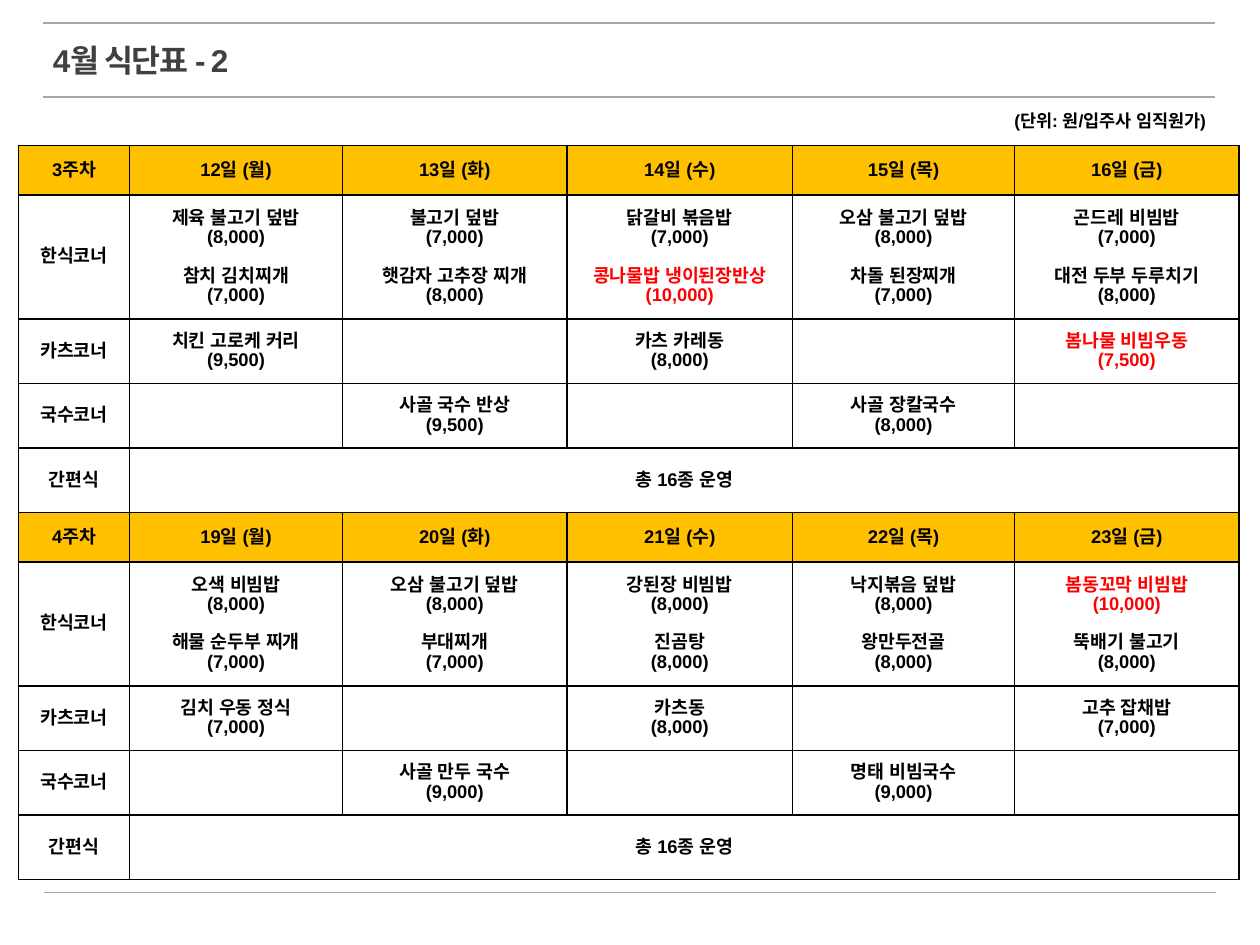
from lxml.etree import SubElement
from pptx import Presentation
from pptx.dml.color import RGBColor
from pptx.enum.shapes import MSO_CONNECTOR
from pptx.enum.text import MSO_ANCHOR as Anchor, MSO_AUTO_SIZE as AutoSize, PP_ALIGN as Align
from pptx.oxml.ns import qn
from pptx.util import Pt

COLORS = {"black": "000000", "title": "404040", "rule": "A6A6A6",
          "header": "FFC000", "white": "FFFFFF", "special": "FF0000"}
COLUMN_WIDTHS = [63.4, 121.8, 128.2, 129, 126.8, 128.4]
WEEK_ROW_HEIGHTS = [28.2, 70.9, 36.9, 36.9, 36.9]
WEEKDAYS = "월화수목금"
RESTAURANTS = ["한식코너", "카츠코너", "국수코너"]
SUMMARY = ("간편식", "총 16종 운영")


def special(name, price):
    """Return a dish that is highlighted in the menu."""
    return name, price, "special"


# Each week: number, first date, then per restaurant the dishes of each weekday.
WEEKS = [
    (3, 12, [
        [[("제육 불고기 덮밥", 8000), ("참치 김치찌개", 7000)],
         [("불고기 덮밥", 7000), ("햇감자 고추장 찌개", 8000)],
         [("닭갈비 볶음밥", 7000), special("콩나물밥 냉이된장반상", 10000)],
         [("오삼 불고기 덮밥", 8000), ("차돌 된장찌개", 7000)],
         [("곤드레 비빔밥", 7000), ("대전 두부 두루치기", 8000)]],
        [[("치킨 고로케 커리", 9500)], [], [("카츠 카레동", 8000)], [],
         [special("봄나물 비빔우동", 7500)]],
        [[], [("사골 국수 반상", 9500)], [], [("사골 장칼국수", 8000)], []],
    ]),
    (4, 19, [
        [[("오색 비빔밥", 8000), ("해물 순두부 찌개", 7000)],
         [("오삼 불고기 덮밥", 8000), ("부대찌개", 7000)],
         [("강된장 비빔밥", 8000), ("진곰탕", 8000)],
         [("낙지볶음 덮밥", 8000), ("왕만두전골", 8000)],
         [special("봄동꼬막 비빔밥", 10000), ("뚝배기 불고기", 8000)]],
        [[("김치 우동 정식", 7000)], [], [("카츠동", 8000)], [], [("고추 잡채밥", 7000)]],
        [[], [("사골 만두 국수", 9000)], [], [("명태 비빔국수", 9000)], []],
    ]),
]


def color(name):
    """Look up a named colour."""
    return RGBColor.from_string(COLORS[name])


def write(paragraph, text, size=10.5, fill="black", align=Align.CENTER,
          line=None, before=None, spacing=None, font="Arial"):
    """Write one formatted run into a paragraph."""
    paragraph.alignment = align
    if line:
        paragraph.line_spacing = Pt(line)
    if before:
        paragraph.space_before = Pt(before)
    run = paragraph.add_run()
    run.text = text
    run.font.name, run.font.size, run.font.bold = font, Pt(size), True
    run.font.color.rgb = color(fill)
    properties = run.font._element
    SubElement(properties, qn("a:ea")).set("typeface", font)
    if spacing:
        properties.set("spc", str(spacing * 100))


class MenuSlide:
    """Holds the current slide and the style of its elements."""

    line_pitch = 11
    border_width = 1

    def __init__(self, presentation):
        """Add a title-only slide."""
        self.slide = presentation.slides.add_slide(presentation.slide_layouts[5])

    def place(self, shape, left, top, width, height):
        """Position a text shape and set its frame to grow with its text."""
        shape.left, shape.top, shape.width, shape.height = map(Pt, (left, top, width, height))
        frame = shape.text_frame
        frame.word_wrap = True
        frame.vertical_anchor = Anchor.TOP
        frame.auto_size = AutoSize.SHAPE_TO_FIT_TEXT
        return frame.paragraphs[0]

    def title(self, text, box):
        """Fill the title placeholder."""
        write(self.place(self.slide.shapes.title, *box), text, size=18, fill="title",
              align=Align.LEFT, spacing=-1)

    def note(self, text, box):
        """Add a right-aligned note."""
        shape = self.slide.shapes.add_textbox(0, 0, 0, 0)
        write(self.place(shape, *box), text, size=10, align=Align.RIGHT)

    def rule(self, left, top, width):
        """Add a horizontal grey rule."""
        connector = self.slide.shapes.add_connector(
            MSO_CONNECTOR.STRAIGHT, Pt(left), Pt(top), Pt(left + width), Pt(top))
        connector.line.color.rgb = color("rule")
        connector.line.width = Pt(1)
        SubElement(connector._element.spPr, qn("a:effectLst"))

    def table(self, left, top, widths, heights):
        """Add a plain bordered table."""
        table = self.slide.shapes.add_table(
            len(heights), len(widths), Pt(left), Pt(top),
            Pt(sum(widths)), Pt(sum(heights))).table
        table.first_row = table.horz_banding = False
        for column, width in zip(table.columns, widths):
            column.width = Pt(width)
        for row, height in zip(table.rows, heights):
            row.height = Pt(height)
        for cell in table.iter_cells():
            self.border(cell)
            self.shade(cell, "white")
            cell.vertical_anchor = Anchor.MIDDLE
        return table

    def border(self, cell):
        """Draw all four borders of a cell."""
        properties = cell._tc.get_or_add_tcPr()
        for side in ("a:lnL", "a:lnR", "a:lnT", "a:lnB"):
            line = SubElement(properties, qn(side), w=str(Pt(self.border_width)))
            fill = SubElement(line, qn("a:solidFill"))
            SubElement(fill, qn("a:srgbClr"), val=COLORS["black"])

    def shade(self, cell, fill):
        """Fill a cell with a solid colour."""
        cell.fill.solid()
        cell.fill.fore_color.rgb = color(fill)

    def label(self, cell, text):
        """Write a single-line cell."""
        write(cell.text_frame.paragraphs[0], text, line=self.line_pitch)

    def dishes(self, cell, dishes):
        """Write dishes with their prices, one line apart."""
        frame = cell.text_frame
        for index, (name, price, *mark) in enumerate(dishes):
            fill = mark[0] if mark else "black"
            paragraph = frame.add_paragraph() if index else frame.paragraphs[0]
            write(paragraph, name, fill=fill, line=self.line_pitch,
                  before=self.line_pitch if index else None)
            write(frame.add_paragraph(), f"({price:,})", fill=fill, line=self.line_pitch)

    def week(self, table, first_row, number, first_date, menus):
        """Fill the rows of one week."""
        dates = [f"{first_date + day}일 ({name})" for day, name in enumerate(WEEKDAYS)]
        for column, text in enumerate([f"{number}주차", *dates]):
            cell = table.cell(first_row, column)
            self.shade(cell, "header")
            self.label(cell, text)
        for row, (restaurant, days) in enumerate(zip(RESTAURANTS, menus), first_row + 1):
            self.label(table.cell(row, 0), restaurant)
            for column, dishes in enumerate(days, 1):
                self.dishes(table.cell(row, column), dishes)
        last_row = first_row + len(WEEK_ROW_HEIGHTS) - 1
        table.cell(last_row, 1).merge(table.cell(last_row, len(WEEKDAYS)))
        for column, text in enumerate(SUMMARY):
            self.label(table.cell(last_row, column), text)


def main():
    """Build the menu slide and save it."""
    presentation = Presentation()
    presentation.slide_width, presentation.slide_height = Pt(720), Pt(540)
    menu = MenuSlide(presentation)
    for left, top in ((24.3, 13), (24.3, 55.5), (25.2, 510)):
        menu.rule(left, top, 669.8)
    menu.title("4월 식단표 - 2", (23, 20, 377.3, 28.8))
    table = menu.table(10.6, 83.2, COLUMN_WIDTHS, WEEK_ROW_HEIGHTS * len(WEEKS))
    for index, week in enumerate(WEEKS):
        menu.week(table, index * len(WEEK_ROW_HEIGHTS), *week)
    menu.note("(단위: 원/입주사 임직원가)", (504, 59.2, 192.2, 19.4))
    presentation.save("out.pptx")


main()
